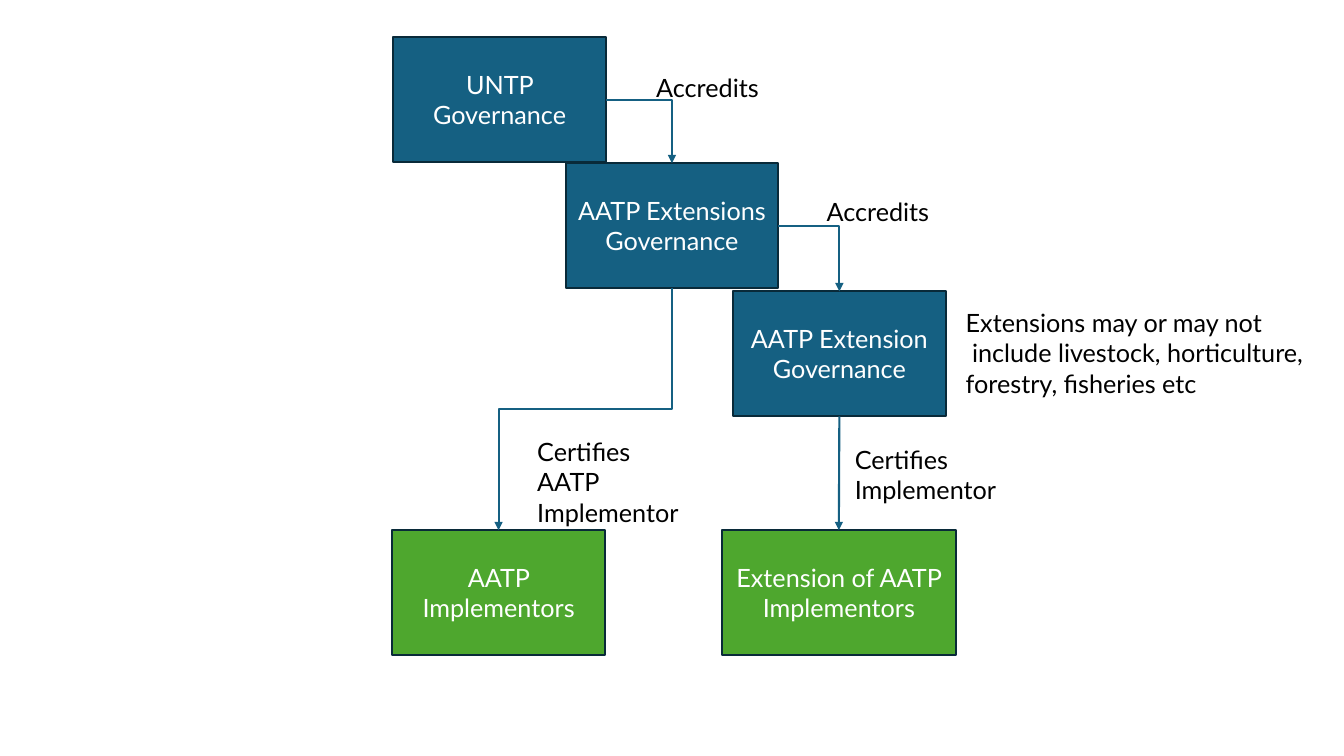
import pptx
import pptx.dml.color
import pptx.enum.shapes
import pptx.enum.text
import pptx.oxml
import pptx.oxml.ns
import pptx.util

Inches = pptx.util.Inches
Pt = pptx.util.Pt
RGBColor = pptx.dml.color.RGBColor
Align = pptx.enum.text.PP_ALIGN
Anchor = pptx.enum.text.MSO_ANCHOR
Link = pptx.enum.shapes.MSO_CONNECTOR
qn = pptx.oxml.ns.qn

BLUE = RGBColor(0x15, 0x60, 0x82)
GREEN = RGBColor(0x4E, 0xA7, 0x2E)
NAVY = RGBColor(0x09, 0x2A, 0x39)
WHITE = RGBColor(0xFF, 0xFF, 0xFF)
BLACK = RGBColor(0, 0, 0)
BOTTOM, RIGHT, TOP = 2, 3, 0


class Chart:
    face = "Lato"
    size = Pt(18)
    edge = Pt(1.5)

    def __init__(self, slide):
        self.slide = slide

    def letter(self, frame, text, color, align):
        frame.text = text
        for para in frame.paragraphs:
            para.alignment = align
            para.font.name = self.face
            para.font.size = self.size
            para.font.color.rgb = color

    def box(self, text, left, top, fill, width=2.11):
        shape = self.slide.shapes.add_shape(
            pptx.enum.shapes.MSO_SHAPE.RECTANGLE,
            Inches(left), Inches(top), Inches(width), Inches(1.24))
        shape.shadow.inherit = False
        shape.fill.solid()
        shape.fill.fore_color.rgb = fill
        shape.line.color.rgb = NAVY
        shape.line.width = self.edge
        shape.text_frame.vertical_anchor = Anchor.MIDDLE
        shape.text_frame.word_wrap = True
        self.letter(shape.text_frame, text, WHITE, Align.CENTER)
        return shape

    def label(self, text, left, top, width, height, wrap=False):
        shape = self.slide.shapes.add_textbox(
            Inches(left), Inches(top), Inches(width), Inches(height))
        shape.text_frame.word_wrap = wrap
        self.letter(shape.text_frame, text, BLACK, Align.LEFT)

    def arrow(self, start, side, end, kind=Link.STRAIGHT):
        line = self.slide.shapes.add_connector(kind, 0, 0, 0, 0)
        line.begin_connect(start, side)
        line.end_connect(end, TOP)
        line.line.color.rgb = BLUE
        line.line.width = self.edge
        props = line._element.spPr
        stroke = props.find(qn("a:ln"))
        stroke.append(pptx.oxml.parse_xml(
            '<a:tailEnd xmlns:a="http://schemas.openxmlformats.org/'
            'drawingml/2006/main" type="triangle"/>'))
        stroke.addnext(pptx.oxml.parse_xml(
            '<a:effectLst xmlns:a="http://schemas.openxmlformats.org/'
            'drawingml/2006/main"/>'))
        return line

    def corner(self, start, end):
        line = self.arrow(start, RIGHT, end, Link.ELBOW)
        line._element.spPr.find(qn("a:prstGeom")).set("prst", "bentConnector2")

    def step(self, start, end):
        line = self.arrow(start, BOTTOM, end, Link.ELBOW)
        mid_x = line.left + line.width // 2
        mid_y = line.top + line.height // 2
        wide, high = line.height, line.width
        line.left, line.top = mid_x - wide // 2, mid_y - high // 2
        line.width, line.height = wide, high
        frame = line._element.spPr.find(qn("a:xfrm"))
        frame.attrib.pop("flipH", None)
        frame.set("rot", "5400000")


def main():
    deck = pptx.Presentation()
    deck.slide_width = Inches(13.33)
    deck.slide_height = Inches(7.5)
    chart = Chart(deck.slides.add_slide(deck.slide_layouts[6]))

    untp = chart.box("UNTP Governance", 3.9, 0.37, BLUE)
    group = chart.box("AATP Extensions\nGovernance", 5.61, 1.62, BLUE)
    users = chart.box("AATP Implementors", 3.89, 5.26, GREEN)
    branch = chart.box("AATP Extension Governance", 7.27, 2.89, BLUE)
    others = chart.box("Extension of AATP Implementors", 7.16, 5.26, GREEN, 2.32)

    chart.corner(untp, group)
    chart.corner(group, branch)
    chart.step(group, users)
    chart.arrow(branch, BOTTOM, others)

    chart.label("Accredits", 6.41, 0.67, 1.24, 0.4)
    chart.label("Accredits", 8.1, 1.9, 1.24, 0.4)
    chart.label("Certifies Implementor", 8.38, 4.36, 2, 0.71, True)
    chart.label("Certifies AATP\nImplementor", 5.23, 4.28, 1.73, 0.71, True)
    chart.label("Extensions may or may not\n include livestock, horticulture,\n"
                "forestry, fisheries etc", 9.48, 3, 3.66, 1.01)
    deck.save("out.pptx")


if __name__ == "__main__":
    main()
